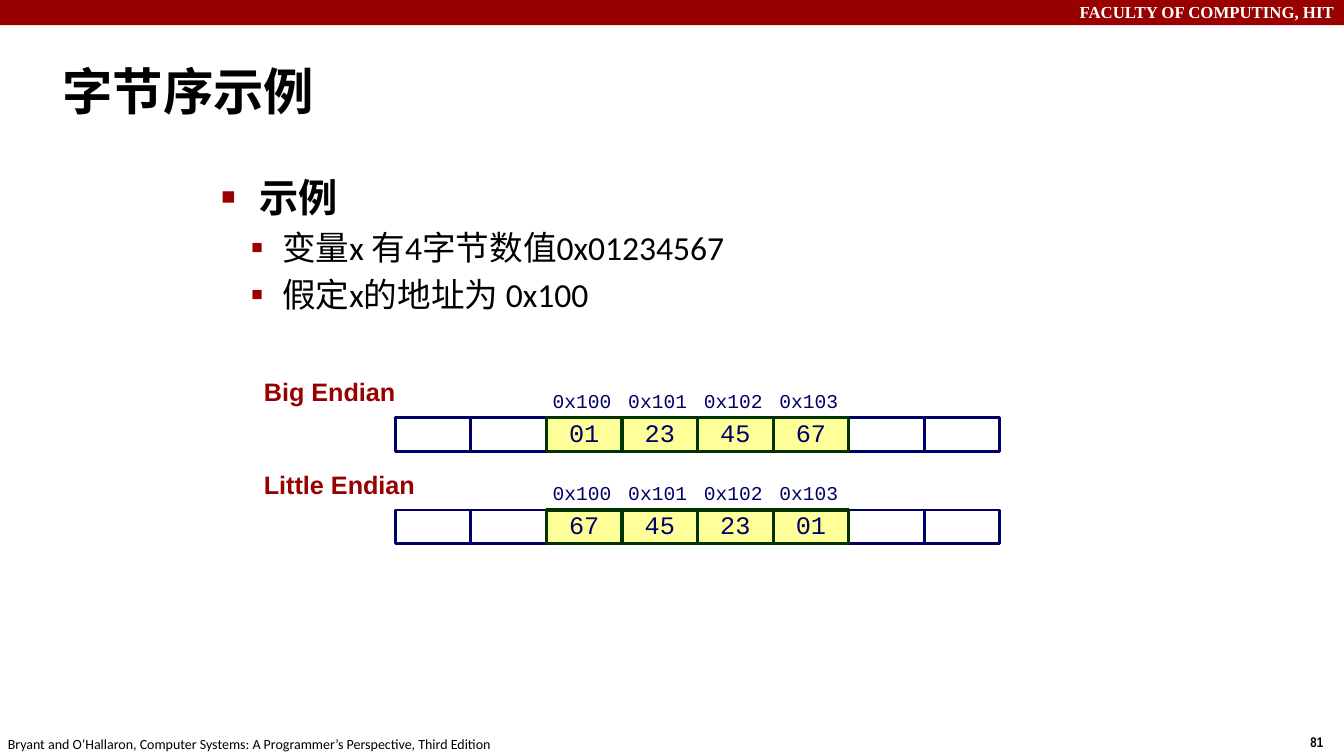
from lxml import etree
from pptx import Presentation
from pptx import util as u
from pptx.dml.color import RGBColor
from pptx.enum import shapes, text
from pptx.oxml.ns import qn

Pt = u.Pt
WIDTH, HEIGHT = 960, 540

BLACK = RGBColor(0x00, 0x00, 0x00)
WHITE = RGBColor(0xFF, 0xFF, 0xFF)
CRIMSON = RGBColor(0x99, 0x00, 0x00)
LABEL_RED = RGBColor(0x98, 0x00, 0x02)
NAVY = RGBColor(0x00, 0x00, 0x66)
DARK_GREEN = RGBColor(0x00, 0x33, 0x00)
YELLOW = RGBColor(0xFF, 0xFF, 0x99)

CELL_WIDTH, CELL_HEIGHT = 54, 24
CELL_COUNT, FIRST_BYTE = 8, 2
ADDRESSES = ["0x100", "0x101", "0x102", "0x103"]


def add_run(paragraph, words, size, font, color, bold=False):
    run = paragraph.add_run()
    run.text = words
    run.font.size = Pt(size)
    run.font.name = font
    run.font.bold = bold
    run.font.color.rgb = color


def add_text_box(slide, box, margins=(7.2, 3.6, 7.2, 3.6), wrap=True,
                 anchor=text.MSO_ANCHOR.TOP):
    frame = slide.shapes.add_textbox(*map(Pt, box)).text_frame
    frame.word_wrap = wrap
    frame.vertical_anchor = anchor
    (frame.margin_left, frame.margin_top,
     frame.margin_right, frame.margin_bottom) = map(Pt, margins)
    return frame


def add_rectangle(slide, box, fill, line=None, line_width=0):
    shape = slide.shapes.add_shape(shapes.MSO_SHAPE.RECTANGLE, *map(Pt, box))
    shape.shadow.inherit = False
    shape.fill.solid()
    shape.fill.fore_color.rgb = fill
    if line is None:
        shape.line.fill.background()
    else:
        shape.line.color.rgb = line
        shape.line.width = Pt(line_width)
    return shape


def set_bullet(paragraph, character, percent, margin, hanging):
    properties = paragraph._p.get_or_add_pPr()
    properties.set("marL", str(Pt(margin)))
    properties.set("indent", str(-Pt(hanging)))
    color = etree.SubElement(properties, qn("a:buClr"))
    etree.SubElement(color, qn("a:srgbClr")).set("val", str(CRIMSON))
    etree.SubElement(properties, qn("a:buSzPct")).set("val", str(percent * 1000))
    etree.SubElement(properties, qn("a:buFont")).set("typeface", "Arial")
    etree.SubElement(properties, qn("a:buChar")).set("char", character)


def add_header(slide, left, top, width, height):
    add_rectangle(slide, (left, top, width, height), CRIMSON)
    frame = add_text_box(slide, (left, top - 2, width, height + 4))
    paragraph = frame.paragraphs[0]
    paragraph.alignment = text.PP_ALIGN.RIGHT
    add_run(paragraph, "FACULTY OF COMPUTING, HIT", 12, "Times New Roman", WHITE, True)


def add_footer(slide, left, top, width, height):
    number = add_text_box(slide, (left + width - 31, top - 1.5, 24.5, height), wrap=False)
    add_run(number.paragraphs[0], "81", 10, "Arial Narrow", BLACK, True)
    source = add_text_box(slide, (left - 1.5, top, 366, height), wrap=False)
    add_run(source.paragraphs[0],
            "Bryant and O’Hallaron, Computer Systems: A Programmer’s Perspective, Third Edition",
            10, "Calibri", BLACK)


def add_title(slide, *box):
    frame = add_text_box(slide, box, anchor=text.MSO_ANCHOR.MIDDLE)
    add_run(frame.paragraphs[0], "字节序示例", 36, "Calibri", BLACK, True)


def add_body(slide, *box):
    frame = add_text_box(slide, box)
    heading = frame.paragraphs[0]
    heading.space_before = Pt(5.6)
    set_bullet(heading, "■", 60, 27, 27)
    add_run(heading, "示例", 28, "Calibri", BLACK, True)
    for words in ("变量x 有4字节数值0x01234567", "假定x的地址为 0x100"):
        item = frame.add_paragraph()
        item.level = 1
        item.space_before = Pt(4.8)
        set_bullet(item, "▪", 110, 43.5, 22.5)
        add_run(item, words, 24, "Calibri", BLACK)


def add_memory_row(slide, left, top, label, values):
    # Name of the byte order
    frame = add_text_box(slide, (left, top, 141, 26), (2.5, 2.5, 5, 2.5))
    frame.paragraphs[0].line_spacing = 0.95
    add_run(frame.paragraphs[0], label, 18, "Arial", LABEL_RED, True)

    cells = [(left + 96.25 + i * CELL_WIDTH, top + 30.25, CELL_WIDTH, CELL_HEIGHT)
             for i in range(CELL_COUNT)]
    last_byte = FIRST_BYTE + len(values)

    # Unused cells, behind the bytes of x
    for cell in cells[:FIRST_BYTE] + cells[last_byte:]:
        add_rectangle(slide, cell, WHITE, NAVY, 2)

    # Bytes of x with their addresses
    for cell, address, value in zip(cells[FIRST_BYTE:last_byte], ADDRESSES, values):
        address_box = (cell[0], top + 5.75, CELL_WIDTH, 25)
        frame = add_text_box(slide, address_box, (4.5, 4.5, 7, 4.5), False,
                             text.MSO_ANCHOR.MIDDLE)
        add_run(frame.paragraphs[0], address, 14, "Courier New", NAVY)

        frame = add_rectangle(slide, cell, YELLOW, DARK_GREEN, 2.25).text_frame
        frame.margin_top = frame.margin_bottom = 0
        frame.vertical_anchor = text.MSO_ANCHOR.MIDDLE
        paragraph = frame.paragraphs[0]
        paragraph.alignment = text.PP_ALIGN.CENTER
        paragraph.line_spacing = 0.9
        add_run(paragraph, value, 18, "Courier New", NAVY)


def main():
    presentation = Presentation()
    presentation.slide_width, presentation.slide_height = Pt(WIDTH), Pt(HEIGHT)
    slide = presentation.slides.add_slide(presentation.slide_layouts[6])

    add_header(slide, 0, 0, WIDTH, 18)
    add_footer(slide, 0, 522, WIDTH, 19.5)
    add_title(slide, 37.5, 34.5, 922.5, 60)
    add_body(slide, 151, 120, 622, 379)

    big_endian = ["01", "23", "45", "67"]
    add_memory_row(slide, 186, 268, "Big Endian", big_endian)
    add_memory_row(slide, 186, 334, "Little Endian", big_endian[::-1])

    presentation.save("out.pptx")


if __name__ == "__main__":
    main()
